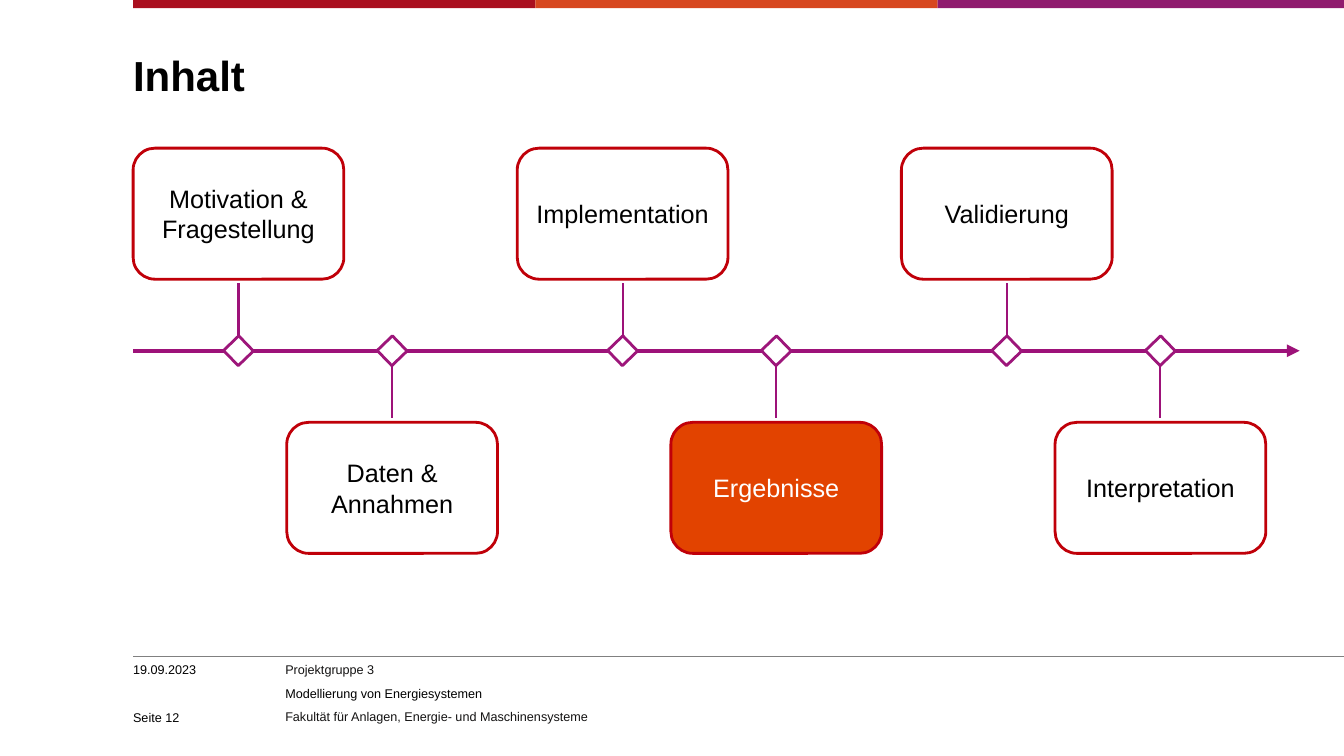
from dataclasses import dataclass

from lxml import etree
from pptx import Presentation, util as u
from pptx.dml.color import RGBColor
from pptx.enum import shapes, text
from pptx.oxml import ns

COLOURS = {
    "black": "000000", "white": "FFFFFF", "ink": "141313", "rule": "808080",
    "red": "AA0F1F", "orange": "D7471F", "purple": "901B6E",
    "border": "C00009", "active": "E24300", "axis": "9D1279", "marker": "9D167A",
}
FONT = "Arial"

# Grid: timeline columns start at the left margin, distances mirror the axis
PAGE_WIDTH, PAGE_HEIGHT = 13.33, 7.5
MARGIN = 1.32
COLUMN = 3.81
LOWER_SHIFT = 0.4  # columns
BOX_WIDTH, BOX_HEIGHT = 2.09, 1.3
AXIS_Y, AXIS_END = 3.48, 12.89
BOX_GAP = 0.71
STEM_NEAR, STEM_FAR = 0.15, 0.67
MARKER = 0.21
FOOTER_TOP = 6.57


@dataclass(frozen=True)
class Step:
    label: str
    column: float
    side: int  # -1 above the axis, 1 below it
    active: bool = False

    @property
    def left(self) -> float:
        return MARGIN + self.column * COLUMN

    @property
    def centre(self) -> float:
        return self.left + BOX_WIDTH / 2

    @property
    def top(self) -> float:
        return AXIS_Y + (BOX_GAP if self.side > 0 else -BOX_GAP - BOX_HEIGHT)


@dataclass(frozen=True)
class Label:
    lines: tuple[tuple[str, str], ...]  # wording and colour name
    left: float
    top: float
    width: float
    height: float
    size: float = 9
    bold: bool = False
    anchor: text.MSO_ANCHOR = text.MSO_ANCHOR.TOP
    line_spacing: float | None = None
    space_after: float = 0
    wrap: bool = True


@dataclass(frozen=True)
class Band:
    colour: str
    left: float
    width: float


STEPS = (
    Step("Motivation & Fragestellung", 0, -1),
    Step("Implementation", 1, -1),
    Step("Validierung", 2, -1),
    Step("Daten & Annahmen", LOWER_SHIFT, 1),
    Step("Ergebnisse", 1 + LOWER_SHIFT, 1, active=True),
    Step("Interpretation", 2 + LOWER_SHIFT, 1),
)
BANDS = (
    Band("red", MARGIN, 3.99),
    Band("orange", 5.31, 3.99),
    Band("purple", 9.3, PAGE_WIDTH - 9.3),
)
LABELS = (
    Label((("Projektgruppe 3", "ink"),
           ("Modellierung von Energiesystemen", "black"),
           ("Fakultät für Anlagen, Energie- und Maschinensysteme", "ink")),
          2.83, FOOTER_TOP, 6.46, 0.67, space_after=6, wrap=False),
    Label((("Inhalt", "black"),), MARGIN, 0.57, 11.81, 0.78,
          size=30, bold=True, line_spacing=30),
    Label((("19.09.2023", "black"),), MARGIN, FOOTER_TOP, 1.42, 0.2, wrap=False),
    Label((("Seite 12", "black"),), MARGIN, 6.96, 1.42, 0.23,
          anchor=text.MSO_ANCHOR.BOTTOM),
)


def colour(name: str) -> RGBColor:
    return RGBColor.from_string(COLOURS[name])


def style_font(para, size: float, name: str, bold: bool = False) -> None:
    para.font.name = FONT
    para.font.size = u.Pt(size)
    para.font.bold = bold
    para.font.color.rgb = colour(name)


def add_block(page, kind, left: float, top: float, width: float, height: float,
              fill: str, border: str | None = None):
    block = page.shapes.add_shape(
        kind, u.Inches(left), u.Inches(top), u.Inches(width), u.Inches(height))
    block.shadow.inherit = False
    block.fill.solid()
    block.fill.fore_color.rgb = colour(fill)
    if border:
        block.line.color.rgb = colour(border)
        block.line.width = u.Pt(2)
    else:
        block.line.fill.background()
    return block


def add_line(page, x1: float, y1: float, x2: float, y2: float,
             name: str, width: float, arrow: bool = False) -> None:
    line = page.shapes.add_connector(
        shapes.MSO_CONNECTOR.STRAIGHT,
        u.Inches(x1), u.Inches(y1), u.Inches(x2), u.Inches(y2))
    line.line.color.rgb = colour(name)
    line.line.width = u.Pt(width)
    if arrow:
        outline = line.line._get_or_add_ln()
        etree.SubElement(outline, ns.qn("a:tailEnd"), type="triangle")
    etree.SubElement(line._element.spPr, ns.qn("a:effectLst"))


def add_label(page, label: Label) -> None:
    box = page.shapes.add_textbox(
        u.Inches(label.left), u.Inches(label.top),
        u.Inches(label.width), u.Inches(label.height))
    frame = box.text_frame
    frame.margin_left = frame.margin_right = 0
    frame.margin_top = frame.margin_bottom = 0
    frame.word_wrap = label.wrap
    frame.vertical_anchor = label.anchor
    for index, (wording, name) in enumerate(label.lines):
        para = frame.add_paragraph() if index else frame.paragraphs[0]
        para.text = wording
        para.space_after = u.Pt(label.space_after)
        if label.line_spacing:
            para.line_spacing = u.Pt(label.line_spacing)
        style_font(para, label.size, name, label.bold)


def add_step_box(page, step: Step) -> None:
    box = add_block(page, shapes.MSO_SHAPE.ROUNDED_RECTANGLE,
                    step.left, step.top, BOX_WIDTH, BOX_HEIGHT,
                    "active" if step.active else "white", "border")
    frame = box.text_frame
    frame.word_wrap = True
    frame.vertical_anchor = text.MSO_ANCHOR.MIDDLE
    para = frame.paragraphs[0]
    para.text = step.label
    para.alignment = text.PP_ALIGN.CENTER
    style_font(para, 18, "white" if step.active else "black")


def add_marker(page, step: Step) -> None:
    marker = add_block(page, shapes.MSO_SHAPE.RECTANGLE,
                       step.centre - MARKER / 2, AXIS_Y - MARKER / 2,
                       MARKER, MARKER, "white", "marker")
    marker.rotation = 46


def main() -> None:
    deck = Presentation()
    deck.slide_width = u.Inches(PAGE_WIDTH)
    deck.slide_height = u.Inches(PAGE_HEIGHT)
    page = deck.slides.add_slide(deck.slide_layouts[6])

    # Top bands, footer rule, title and footer
    for band in BANDS:
        add_block(page, shapes.MSO_SHAPE.RECTANGLE,
                  band.left, 0, band.width, 0.08, band.colour)
    add_line(page, MARGIN, 6.51, PAGE_WIDTH, 6.51, "rule", 0.5)
    for label in LABELS:
        add_label(page, label)

    # Timeline
    for step in STEPS:
        add_step_box(page, step)
    add_line(page, MARGIN, AXIS_Y, AXIS_END, AXIS_Y, "axis", 3, arrow=True)
    for step in STEPS:
        add_marker(page, step)
        add_line(page, step.centre, AXIS_Y + step.side * STEM_NEAR,
                 step.centre, AXIS_Y + step.side * STEM_FAR, "axis", 1.5)

    deck.save("out.pptx")


if __name__ == "__main__":
    main()
